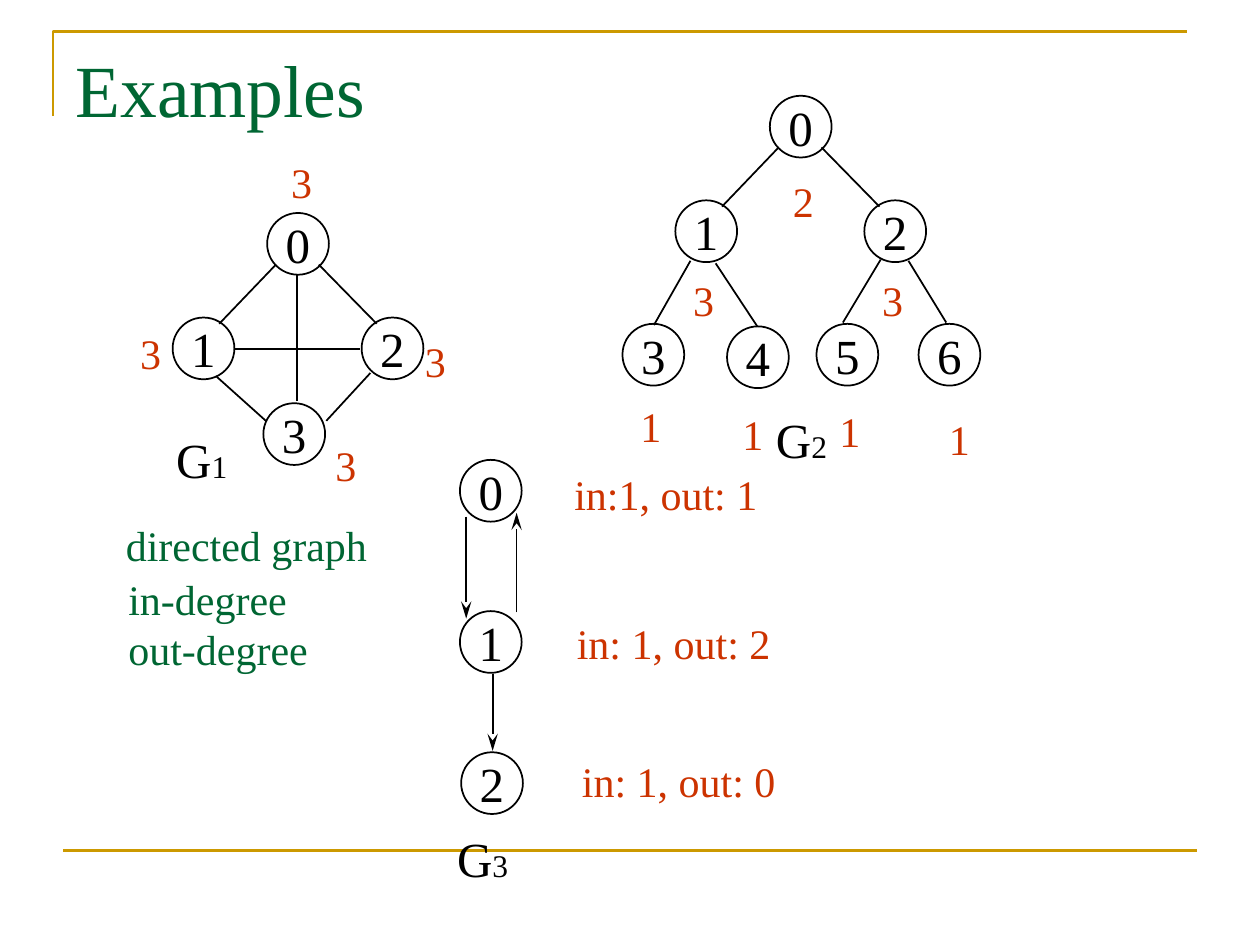
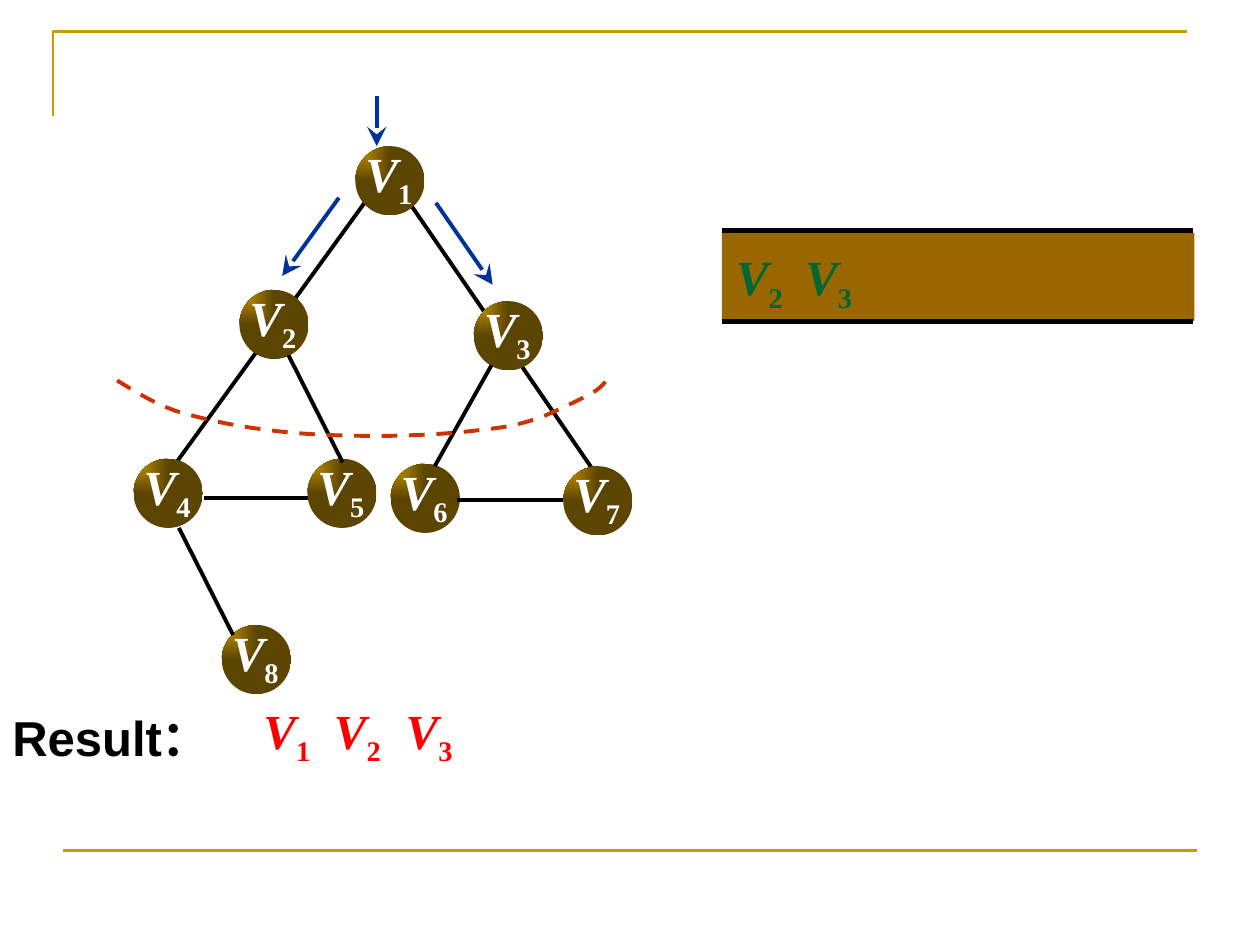
from dataclasses import dataclass

import pptx
import pptx.dml.color
import pptx.enum.dml
import pptx.enum.shapes
import pptx.enum.text
import pptx.oxml
import pptx.oxml.ns
import pptx.util

PX = 9144  # one px is a hundredth of an inch
ALIGN = pptx.enum.text.PP_ALIGN
ANCHOR = pptx.enum.text.MSO_ANCHOR
SHAPE = pptx.enum.shapes.MSO_SHAPE
INSET = (10, 5, 10, 5)


@dataclass(frozen=True)
class Theme:
    serif: str = "Times New Roman"
    sans: str = "Arial"
    ink: str = "000000"
    paper: str = "FFFFFF"
    gold: str = "CC9900"
    dark_gold: str = "5C4500"
    queue: str = "996600"
    green: str = "006633"
    degree: str = "CC3300"
    visited: str = "FF0000"
    step: str = "003399"
    title_size: int = 42
    vertex_size: int = 28
    label_size: int = 24
    index_size: int = 18
    thin: float = 1
    frame: float = 1.5
    medium: float = 2.25
    thick: float = 3


def rgb(color):
    return pptx.dml.color.RGBColor.from_string(color)


def px(*lengths):
    return [round(length * PX) for length in lengths]


def xml(tag, **attributes):
    element = pptx.oxml.parse_xml(f"<a:{tag} {pptx.oxml.ns.nsdecls('a')}/>")
    for name, value in attributes.items():
        element.set(name, value)
    return element


def bezier(p0, p1, p2, p3, steps=8):
    """Return the points after p0 on a cubic curve."""
    points = []
    for step in range(1, steps + 1):
        t = step / steps
        weights = ((1 - t) ** 3, 3 * t * (1 - t) ** 2, 3 * t * t * (1 - t), t ** 3)
        points.append(tuple(sum(w * p[axis] for w, p in zip(weights, (p0, p1, p2, p3)))
                            for axis in (0, 1)))
    return points


class Deck:
    def __init__(self, theme):
        self.theme = theme
        self.show = pptx.Presentation()
        self.show.slide_width, self.show.slide_height = px(1000, 750)
        self.slide = None

    def new_slide(self, title=None):
        layout = self.show.slide_layouts[5 if title else 6]
        self.slide = self.show.slides.add_slide(layout)
        self.outline([(42, 92), (42, 25), (942, 25)], self.theme.gold, self.theme.frame)
        self.line((50, 675, 950, 675), self.theme.gold, self.theme.frame)
        if title:
            heading = self.slide.shapes.title
            heading.left, heading.top, heading.width, heading.height = px(50, 30, 900, 125)
            self.frame_text(heading.text_frame, ANCHOR.TOP, INSET, wrap=True)
            paragraph = heading.text_frame.paragraphs[0]
            paragraph.alignment = ALIGN.LEFT
            self.run(paragraph, title, self.theme.title_size, self.theme.green)

    def frame_text(self, frame, anchor, insets, wrap=False, grow=False):
        sizes = pptx.enum.text.MSO_AUTO_SIZE
        frame.auto_size = sizes.SHAPE_TO_FIT_TEXT if grow else sizes.NONE
        frame.word_wrap = wrap
        frame.vertical_anchor = anchor
        (frame.margin_left, frame.margin_top,
         frame.margin_right, frame.margin_bottom) = px(*insets)

    def run(self, paragraph, text, size, color, bold=False, italic=False, font=None):
        run = paragraph.add_run()
        run.text = text
        run.font.name = font or self.theme.serif
        run.font.size = pptx.util.Pt(size)
        run.font.color.rgb = rgb(color)
        run.font.bold, run.font.italic = bold, italic
        return run

    def box(self, place, anchor=ANCHOR.MIDDLE, insets=INSET, wrap=False, grow=True):
        frame = self.slide.shapes.add_textbox(*px(*place)).text_frame
        self.frame_text(frame, anchor, insets, wrap, grow)
        return frame

    def label(self, place, *lines, color, align=ALIGN.LEFT):
        frame = self.box(place)
        for number, text in enumerate(lines):
            paragraph = frame.add_paragraph() if number else frame.paragraphs[0]
            paragraph.alignment = align
            self.run(paragraph, text, self.theme.label_size, color)

    def degree(self, left, top, count):
        self.label((left, top, 37, 50), count, color=self.theme.degree, align=ALIGN.CENTER)

    def graph_name(self, left, top, index):
        paragraph = self.box((left, top, 61, 57), ANCHOR.TOP).paragraphs[0]
        self.run(paragraph, "G", self.theme.vertex_size, self.theme.ink)
        self.run(paragraph, index, self.theme.index_size, self.theme.ink)

    def indexed_v(self, place, index, color, insets, grow=True):
        """Write a bold V with a subscript."""
        frame = self.box(place, ANCHOR.TOP, insets, wrap=True, grow=grow)
        paragraph = frame.paragraphs[0]
        size = self.theme.vertex_size
        self.run(paragraph, "V", size, color, bold=True, italic=True)
        subscript = self.run(paragraph, index, size, color, bold=True)
        subscript._r.get_or_add_rPr().set("baseline", "-25000")

    def listed_v(self, left, top, index, color):
        self.indexed_v((left, top, 62, 49), index, color, (2, 1, 2, 1))

    def shape(self, kind, place, fill=None):
        shape = self.slide.shapes.add_shape(kind, *px(*place))
        shape.shadow.inherit = False
        shape.line.fill.background()
        if fill:
            shape.fill.solid()
            shape.fill.fore_color.rgb = rgb(fill)
        return shape

    def vertex(self, left, top, number):
        circle = self.shape(SHAPE.OVAL, (left, top, 49, 49), self.theme.paper)
        self.stroke(circle.line, self.theme.ink, self.theme.thin)
        self.frame_text(circle.text_frame, ANCHOR.MIDDLE, INSET)
        paragraph = circle.text_frame.paragraphs[0]
        paragraph.alignment = ALIGN.CENTER
        self.run(paragraph, number, self.theme.vertex_size, self.theme.ink)

    def ball(self, left, top, index):
        """Draw a vertex shaded from its top left corner."""
        ball = self.shape(SHAPE.OVAL, (left, top, 55, 55))
        ball.fill.gradient()
        for stop, color in zip(ball.fill.gradient_stops, (self.theme.gold, self.theme.dark_gold)):
            stop.color.rgb = rgb(color)
        gradient = ball._element.spPr.find(pptx.oxml.ns.qn("a:gradFill"))
        gradient.remove(gradient.find(pptx.oxml.ns.qn("a:lin")))
        corner = xml("path", path="rect")
        corner.append(xml("fillToRect", r="100000", b="100000"))
        gradient.append(corner)
        self.indexed_v((left + 7, top - 5, 51, 65), index, self.theme.paper,
                       (1, 3, 0, 1), grow=False)

    def stroke(self, line, color, width):
        line.color.rgb = rgb(color)
        line.width = pptx.util.Pt(width)

    def line(self, ends, color, width, head_width=None):
        """Draw a line, with a long arrowhead if its width (med or lg) is given."""
        connector = self.slide.shapes.add_connector(
            pptx.enum.shapes.MSO_CONNECTOR.STRAIGHT, *px(*ends))
        self.stroke(connector.line, color, width)
        if head_width:
            connector.line._get_or_add_ln().append(
                xml("tailEnd", type="stealth", w=head_width, len="lg"))
        connector._element.spPr.append(xml("effectLst"))

    def lines(self, all_ends, color, width, head_width=None):
        for ends in all_ends:
            self.line(ends, color, width, head_width)

    def outline(self, points, color, width, dashed=False):
        start, *rest = [px(*point) for point in points]
        builder = self.slide.shapes.build_freeform(*start)
        builder.add_line_segments(rest, close=False)
        shape = builder.convert_to_shape()
        shape.shadow.inherit = False
        shape.fill.background()
        self.stroke(shape.line, color, width)
        if dashed:
            shape.line.dash_style = pptx.enum.dml.MSO_LINE.DASH

    def fork(self, left, top):
        """Draw vertex 0 with its edges to 1 and 2 below it."""
        self.vertex(left, top, "0")
        self.vertex(left - 75, top + 83, "1")
        self.vertex(left + 75, top + 83, "2")
        self.lines([(left + 7, top + 41, left - 38, top + 88),
                    (left + 41, top + 41, left + 87, top + 88)],
                   self.theme.ink, self.theme.thin)


def degree_examples(deck):
    theme = deck.theme
    deck.new_slide("Examples")

    deck.fork(212, 169)
    deck.vertex(209, 320, "3")
    complete_edges = [(236, 218, 236, 318), (186, 277, 286, 277),
                      (172, 299, 211, 334), (294, 296, 259, 334)]

    deck.fork(611, 76)
    for left, top, number in ((494, 257, "3"), (577, 259, "4"),
                              (648, 257, "5"), (729, 257, "6")):
        deck.vertex(left, top, number)
    tree_edges = [(548, 207, 519, 258), (568, 209, 601, 259),
                  (699, 206, 669, 256), (721, 207, 751, 256)]
    deck.lines(complete_edges + tree_edges, theme.ink, theme.thin)

    for left, top, number in ((365, 365, "0"), (365, 485, "1"), (366, 597, "2")):
        deck.vertex(left, top, number)
    deck.lines([(391, 535, 391, 596), (410, 486, 410, 407), (370, 410, 370, 491)],
               theme.ink, theme.thin, head_width="med")

    degrees = {"1": [(498, 313), (579, 319), (656, 317), (743, 323)],
               "2": [(619, 134)],
               "3": [(221, 119), (327, 261), (101, 255), (256, 344), (540, 213), (690, 213)]}
    for count, places in degrees.items():
        for left, top in places:
            deck.degree(left, top, count)

    for left, top, index in ((130, 336, "1"), (606, 320, "2"), (353, 653, "3")):
        deck.graph_name(left, top, index)

    deck.label((90, 407, 216, 50), "directed graph", color=theme.green)
    deck.label((92, 450, 170, 90), "in-degree", "out-degree", color=theme.green)
    for left, top, degree_pair in ((446, 367, "in:1, out: 1"),
                                   (448, 485, "in: 1, out: 2"),
                                   (452, 595, "in: 1, out: 0")):
        deck.label((left, top, 180, 50), degree_pair, color=theme.degree)


def breadth_first_search(deck):
    theme = deck.theme
    deck.new_slide()

    deck.shape(SHAPE.RECTANGLE, (573, 185, 375, 70), theme.queue)
    deck.lines([(573, y, 947, y) for y in (183, 255)], theme.ink, theme.thick)
    for left, index in ((582, "2"), (637, "3")):
        deck.listed_v(left, 195, index, theme.green)

    deck.lines([(245, 395, 162, 395), (327, 164, 470, 372), (290, 160, 140, 367)],
               theme.ink, theme.medium)
    balls = [(282, 116), (190, 230), (376, 239), (106, 364),
             (244, 364), (310, 368), (447, 370), (176, 496)]
    for index, (left, top) in enumerate(balls, 1):
        deck.ball(left, top, str(index))
    deck.lines([(229, 282, 272, 367), (390, 290, 345, 370),
                (447, 397, 363, 397), (142, 419, 185, 504)], theme.ink, theme.medium)
    deck.lines([(299, 76, 299, 116), (269, 157, 224, 219), (346, 161, 391, 226)],
               theme.step, theme.medium, head_width="lg")

    frontier = [(93, 302)]
    for curve in (((106, 310), (120, 319), (139, 326)), ((159, 332), (184, 338), (211, 341)),
                  ((237, 345), (271, 346), (300, 346)), ((329, 346), (362, 344), (383, 341)),
                  ((405, 339), (415, 336), (430, 331)), ((444, 325), (463, 316), (473, 310)),
                  ((482, 304), (483, 297), (485, 295))):
        frontier += bezier(frontier[-1], *curve)
    deck.outline(frontier, theme.degree, theme.medium, dashed=True)

    result = deck.box((0, 557, 238, 57), ANCHOR.TOP, wrap=True).paragraphs[0]
    deck.run(result, "Result：", theme.vertex_size, theme.ink, bold=True, font=theme.sans)
    for left, index in ((207, "1"), (263, "2"), (320, "3")):
        deck.listed_v(left, 555, index, theme.visited)


def main():
    deck = Deck(Theme())
    degree_examples(deck)
    breadth_first_search(deck)
    deck.show.save("out.pptx")


if __name__ == "__main__":
    main()
